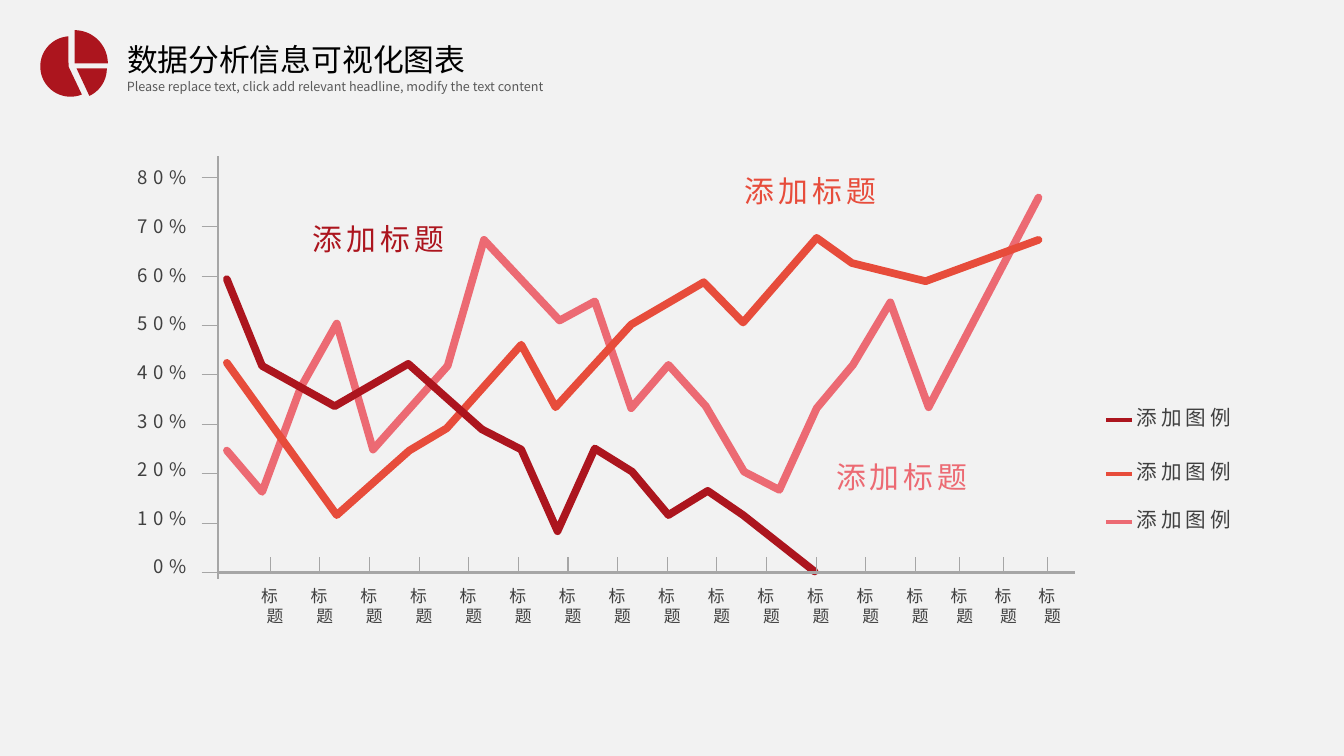
from math import cos, radians, sin

from lxml import etree
from pptx import Presentation
from pptx import util as u
from pptx.dml.color import RGBColor
from pptx.enum import shapes, text
from pptx.oxml import ns

COLORS = {
    "background": "F2F2F2", "crimson": "AC151E", "orange": "E74C3B", "pink": "EC6A73",
    "axis": "A6A6A6", "label": "404040", "subtitle": "595959", "title": "000000",
}
ALIGN = text.PP_ALIGN

SERIES = {
    "pink": [(2.25, 4.47), (2.6, 4.88), (2.98, 3.85), (3.34, 3.21), (3.7, 4.46),
             (4.44, 3.63), (4.8, 2.38), (5.55, 3.18), (5.9, 2.99), (6.26, 4.05),
             (6.63, 3.62), (7, 4.03), (7.38, 4.68), (7.73, 4.86), (8.1, 4.05),
             (8.46, 3.62), (8.83, 3), (9.21, 4.04), (10.3, 1.96)],
    "orange": [(2.25, 3.6), (3.34, 5.11), (4.06, 4.47), (4.43, 4.25), (5.17, 3.42),
               (5.51, 4.04), (6.26, 3.22), (6.98, 2.8), (7.37, 3.2), (8.1, 2.36),
               (8.45, 2.61), (9.18, 2.79), (10.3, 2.38)],
    "crimson": [(2.25, 2.77), (2.6, 3.63), (3.32, 4.03), (4.05, 3.61), (4.78, 4.26),
                (5.17, 4.46), (5.53, 5.27), (5.9, 4.45), (6.27, 4.68), (6.63, 5.11),
                (7.02, 4.87), (7.37, 5.11), (8.08, 5.67)],
}
SERIES_TITLES = [("crimson", 2.97, 2.14), ("orange", 7.25, 1.66), ("pink", 8.16, 4.5)]
LEGEND = [("crimson", 4.17), ("orange", 4.7), ("pink", 5.18)]
BASELINE = 5.68
AXIS_X = 2.16


def wedge(apex, center, radius, start, end):
    """Return the corners of a pie piece, with angles clockwise from the right."""
    steps = 48
    angles = [radians(start + (end - start) * i / steps) for i in range(steps + 1)]
    return [apex] + [(center[0] + radius * cos(a), center[1] + radius * sin(a)) for a in angles]


class ChartSlide:
    """Hold the slide and its style, and draw each kind of element."""

    font = "Noto Sans CJK SC"

    def __init__(self, deck):
        """Add a title-only slide with a plain background."""
        self.slide = deck.slides.add_slide(deck.slide_layouts[5])
        self.shapes = self.slide.shapes
        fill = self.slide.background.fill
        fill.solid()
        fill.fore_color.rgb = self.color("background")

    def color(self, name):
        """Look up a colour by name."""
        return RGBColor.from_string(COLORS[name])

    def set_words(self, shape, words, size, color, align=ALIGN.LEFT, spacing=0, wrap=True):
        """Put one styled run into a shape."""
        frame = shape.text_frame
        frame.word_wrap = wrap
        frame.auto_size = text.MSO_AUTO_SIZE.SHAPE_TO_FIT_TEXT
        frame.vertical_anchor = text.MSO_ANCHOR.TOP
        paragraph = frame.paragraphs[0]
        paragraph.alignment = align
        run = paragraph.add_run()
        run.text = words
        run.font.name = self.font
        run.font.size = u.Pt(size)
        run.font.color.rgb = self.color(color)
        properties = run._r.get_or_add_rPr()
        properties.set("spc", str(spacing * 100))
        east_asian = etree.Element(ns.qn("a:ea"), typeface=self.font)
        properties.find(ns.qn("a:latin")).addnext(east_asian)

    def title(self, words, left, top, width, height):
        """Place and fill the title placeholder."""
        heading = self.shapes.title
        heading.left, heading.top = u.Inches(left), u.Inches(top)
        heading.width, heading.height = u.Inches(width), u.Inches(height)
        self.set_words(heading, words, 22, "title")

    def label(self, words, left, top, width, height, size, color="label", **style):
        """Add a text box."""
        box = self.shapes.add_textbox(*map(u.Inches, (left, top, width, height)))
        self.set_words(box, words, size, color, **style)

    def line(self, start, end, color="axis", width=0.75):
        """Add a straight line."""
        stroke = self.shapes.add_connector(
            shapes.MSO_CONNECTOR.STRAIGHT, *map(u.Inches, start + end))
        stroke.line.color.rgb = self.color(color)
        stroke.line.width = u.Pt(width)
        etree.SubElement(stroke._element.spPr, ns.qn("a:effectLst"))

    def outline(self, outlines, close):
        """Build one freeform from lists of points in inches."""
        builder = None
        for points in outlines:
            first, *rest = [(u.Inches(x), u.Inches(y)) for x, y in points]
            if builder is None:
                builder = self.shapes.build_freeform(*first)
            else:
                builder.move_to(*first)
            builder.add_line_segments(rest, close=close)
        shape = builder.convert_to_shape()
        shape.shadow.inherit = False
        return shape

    def icon(self, pieces, color):
        """Add the filled pie icon."""
        pie = self.outline(pieces, True)
        pie.fill.solid()
        pie.fill.fore_color.rgb = self.color(color)
        pie.line.fill.background()

    def series(self, points, color):
        """Add a thick open data line with round ends and joins."""
        trend = self.outline([points], False)
        trend.fill.background()
        trend.line.color.rgb = self.color(color)
        trend.line.width = u.Pt(5.5)
        stroke = trend._element.spPr.find(ns.qn("a:ln"))
        stroke.set("cap", "rnd")
        etree.SubElement(stroke, ns.qn("a:round"))


def main():
    """Build the slide and save it."""
    deck = Presentation()
    deck.slide_width, deck.slide_height = u.Inches(13.33), u.Inches(7.5)
    page = ChartSlide(deck)

    page.icon([
        wedge((0.76, 0.68), (0.76, 0.68), 0.3, 0, 65),
        wedge((0.68, 0.66), (0.7, 0.66), 0.3, 68, 266),
        wedge((0.74, 0.63), (0.74, 0.63), 0.33, 270, 360),
    ], "crimson")
    page.title("数据分析信息可视化图表", 1.16, 0.35, 4.26, 0.47)
    page.label("Please replace text, click add relevant headline, modify the text content",
               1.16, 0.73, 5.04, 0.25, 9, "subtitle")

    for color, points in SERIES.items():
        page.series(points, color)

    page.line((2.15, BASELINE), (10.66, BASELINE), width=1.75)
    page.line((AXIS_X, 1.55), (AXIS_X, 5.74), width=1.75)
    for step in range(9):
        y = BASELINE - 0.49 * step
        page.line((2, y), (AXIS_X, y))
        width = 0.76 if step else 0.59
        page.label(f"{step * 10}%", 1.95 - width, 5.46 - 3.86 * step / 8, width, 0.33, 13.3,
                   align=ALIGN.RIGHT, spacing=4, wrap=False)

    wide_ticks = [2.68 + 6.4 * i / 13 for i in range(14)]
    narrow_ticks = [9.52 + 0.87 * i / 2 for i in range(3)]
    for x in wide_ticks + narrow_ticks:
        page.line((x, 5.53), (x, BASELINE))
        page.label("标题", x - 0.21, 5.76, 0.44, 0.5, 12, align=ALIGN.RIGHT, spacing=4)

    for color, y in LEGEND:
        page.line((10.97, y), (11.23, y), color, 3)
        page.label("添加图例", 11.17, y - 0.2, 1.19, 0.35, 14.7, spacing=3, wrap=False)

    for color, left, top in SERIES_TITLES:
        page.label("添加标题", left, top, 1.57, 0.46, 21.3, color,
                   align=ALIGN.CENTER, spacing=3, wrap=False)

    deck.save("out.pptx")


if __name__ == "__main__":
    main()
